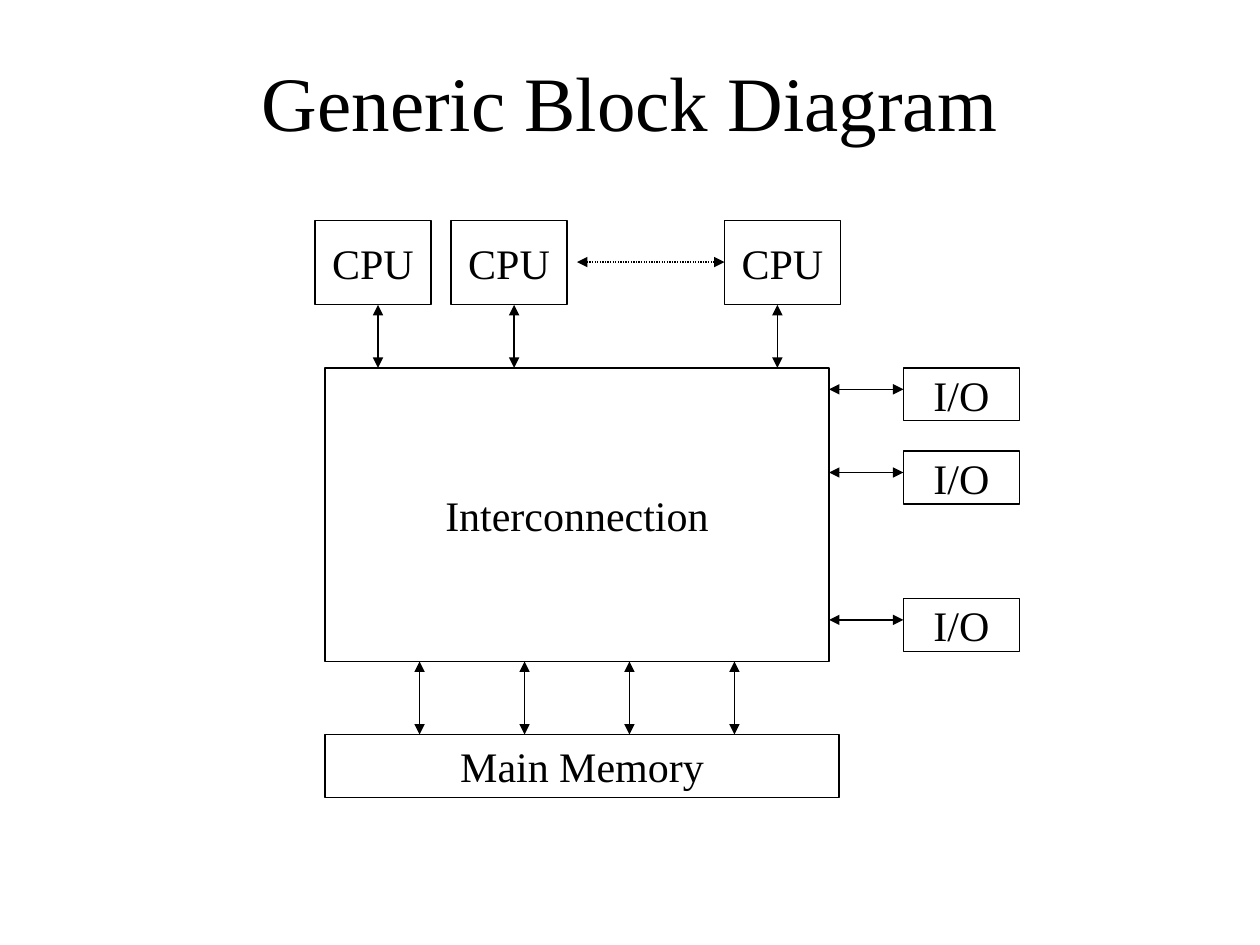
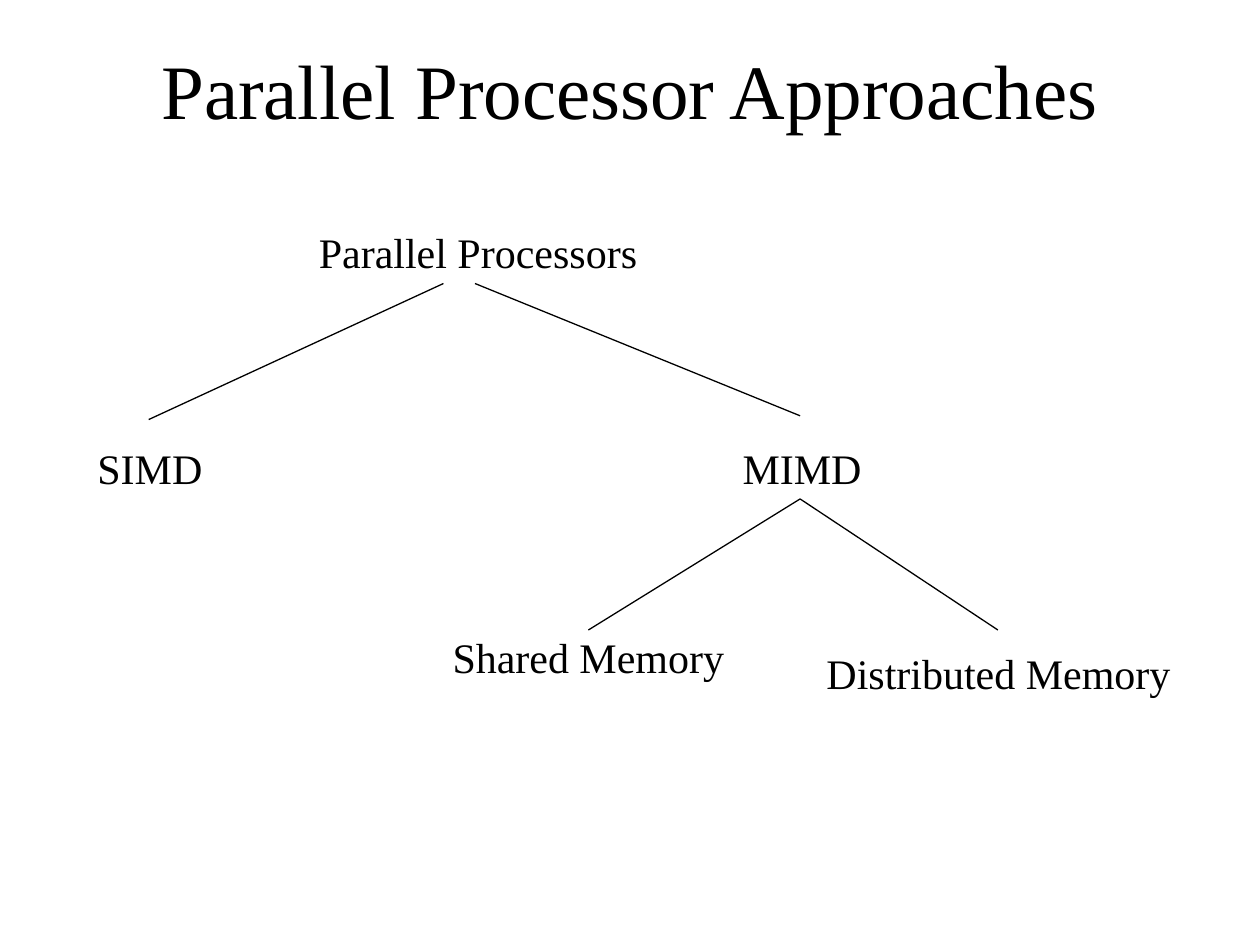
import pptx
import pptx.util
import pptx.dml.color
import pptx.enum.dml
import pptx.enum.shapes
import pptx.enum.text
import pptx.oxml.ns
from lxml import etree

Inches = pptx.util.Inches
Pt = pptx.util.Pt

# Shared style
COLORS = {"ink": "000000", "paper": "FFFFFF"}
FONT = "Times New Roman"
TITLE_SIZE, BODY_SIZE, LINE_WIDTH = 44, 24, 0.75

# Block diagram: left, top, width, height in inches
BLOCK_TITLE = ("Generic Block Diagram", 0.17)
INTERCONNECTION = ("Interconnection", 2.58, 2.92, 4, 2.33)
MAIN_MEMORY = ("Main Memory", 2.58, 5.83, 4.08, 0.5)
CPU_TOP, CPU_SIZE = 1.75, (0.92, 0.67)
CPUS = [(2.5, 3), (3.58, 4.08), (5.75, 6.17)]  # box left, arrow x
CPU_GAP_ARROW = (4.58, 2.08, 5.75, 2.08)
IO_LEFT, IO_SIZE = 7.17, (0.92, 0.42)
IO_TOPS = [2.92, 3.58, 4.75]
IO_ARROW_DROP = 0.17
MEMORY_ARROWS, MEMORY_ARROW_START, MEMORY_ARROW_STEP = 4, 3.33, 0.833

# Approaches tree: label, left, top, width
TREE_TITLE = ("Parallel Processor Approaches", 0.08)
TREE_LABEL_HEIGHT = 0.5
TREE_LABELS = [
    ("Parallel Processors", 2.43, 1.75, 2.73),
    ("SIMD", 0.67, 3.46, 1.04),
    ("MIMD", 5.79, 3.46, 1.15),
    ("Shared Memory", 3.49, 4.96, 2.36),
    ("Distributed Memory", 6.46, 5.09, 2.93),
]
TREE_BRANCHES = [
    (3.52, 2.25, 1.18, 3.33),
    (3.77, 2.25, 6.35, 3.3),
    (6.35, 3.96, 4.67, 5),
    (6.35, 3.96, 7.92, 5),
]


def color(name):
    return pptx.dml.color.RGBColor.from_string(COLORS[name])


def set_text(shape, text, size, anchor, wrap=False):
    frame = shape.text_frame
    frame.text = text
    frame.word_wrap = wrap
    frame.vertical_anchor = anchor
    paragraph = frame.paragraphs[0]
    paragraph.alignment = pptx.enum.text.PP_ALIGN.CENTER
    font = paragraph.runs[0].font
    font.name, font.size = FONT, Pt(size)
    font.color.rgb = color("ink")


def add_label(slide, text, left, top, width, height, size=BODY_SIZE,
              anchor=pptx.enum.text.MSO_ANCHOR.TOP, wrap=False):
    label = slide.shapes.add_textbox(*map(Inches, (left, top, width, height)))
    set_text(label, text, size, anchor, wrap)


def add_titled_slide(presentation, title, top):
    slide = presentation.slides.add_slide(presentation.slide_layouts[6])
    background = slide.background.fill
    background.solid()
    background.fore_color.rgb = color("paper")
    add_label(slide, title, 0.75, top, 8.5, 1.25, TITLE_SIZE,
              pptx.enum.text.MSO_ANCHOR.MIDDLE, wrap=True)
    return slide


def style_line(line):
    line.color.rgb = color("ink")
    line.width = Pt(LINE_WIDTH)


def add_box(slide, text, left, top, width, height):
    box = slide.shapes.add_shape(pptx.enum.shapes.MSO_SHAPE.RECTANGLE,
                                 *map(Inches, (left, top, width, height)))
    box.shadow.inherit = False
    box.fill.solid()
    box.fill.fore_color.rgb = color("paper")
    style_line(box.line)
    set_text(box, text, BODY_SIZE, pptx.enum.text.MSO_ANCHOR.MIDDLE)


def add_line(slide, start_x, start_y, end_x, end_y):
    connector = slide.shapes.add_connector(
        pptx.enum.shapes.MSO_CONNECTOR.STRAIGHT,
        *map(Inches, (start_x, start_y, end_x, end_y)))
    style_line(connector.line)
    etree.SubElement(connector._element.spPr, pptx.oxml.ns.qn("a:effectLst"))
    return connector


def add_arrow(slide, *ends, dotted=False):
    connector = add_line(slide, *ends)
    if dotted:
        connector.line.dash_style = pptx.enum.dml.MSO_LINE.ROUND_DOT
    outline = connector.line._get_or_add_ln()
    for end in ("a:headEnd", "a:tailEnd"):
        etree.SubElement(outline, pptx.oxml.ns.qn(end), type="triangle")


def build_block_diagram(presentation):
    slide = add_titled_slide(presentation, *BLOCK_TITLE)
    _, hub_left, hub_top, hub_width, hub_height = INTERCONNECTION
    hub_right, hub_bottom = hub_left + hub_width, hub_top + hub_height
    add_box(slide, *INTERCONNECTION)

    # Processors above
    for left, arrow_x in CPUS:
        add_box(slide, "CPU", left, CPU_TOP, *CPU_SIZE)
        add_arrow(slide, arrow_x, CPU_TOP + CPU_SIZE[1], arrow_x, hub_top)
    add_arrow(slide, *CPU_GAP_ARROW, dotted=True)

    # Input and output on the right
    for top in IO_TOPS:
        add_box(slide, "I/O", IO_LEFT, top, *IO_SIZE)
        arrow_y = top + IO_ARROW_DROP
        add_arrow(slide, IO_LEFT, arrow_y, hub_right, arrow_y)

    # Memory below
    add_box(slide, *MAIN_MEMORY)
    for index in range(MEMORY_ARROWS):
        arrow_x = MEMORY_ARROW_START + index * MEMORY_ARROW_STEP
        add_arrow(slide, arrow_x, hub_bottom, arrow_x, MAIN_MEMORY[2])


def build_approaches_tree(presentation):
    slide = add_titled_slide(presentation, *TREE_TITLE)
    for label in TREE_LABELS:
        add_label(slide, *label, TREE_LABEL_HEIGHT)
    for branch in TREE_BRANCHES:
        add_line(slide, *branch)


def main():
    presentation = pptx.Presentation()
    presentation.slide_width = Inches(10)
    presentation.slide_height = Inches(7.5)
    build_block_diagram(presentation)
    build_approaches_tree(presentation)
    presentation.save("out.pptx")


if __name__ == "__main__":
    main()
